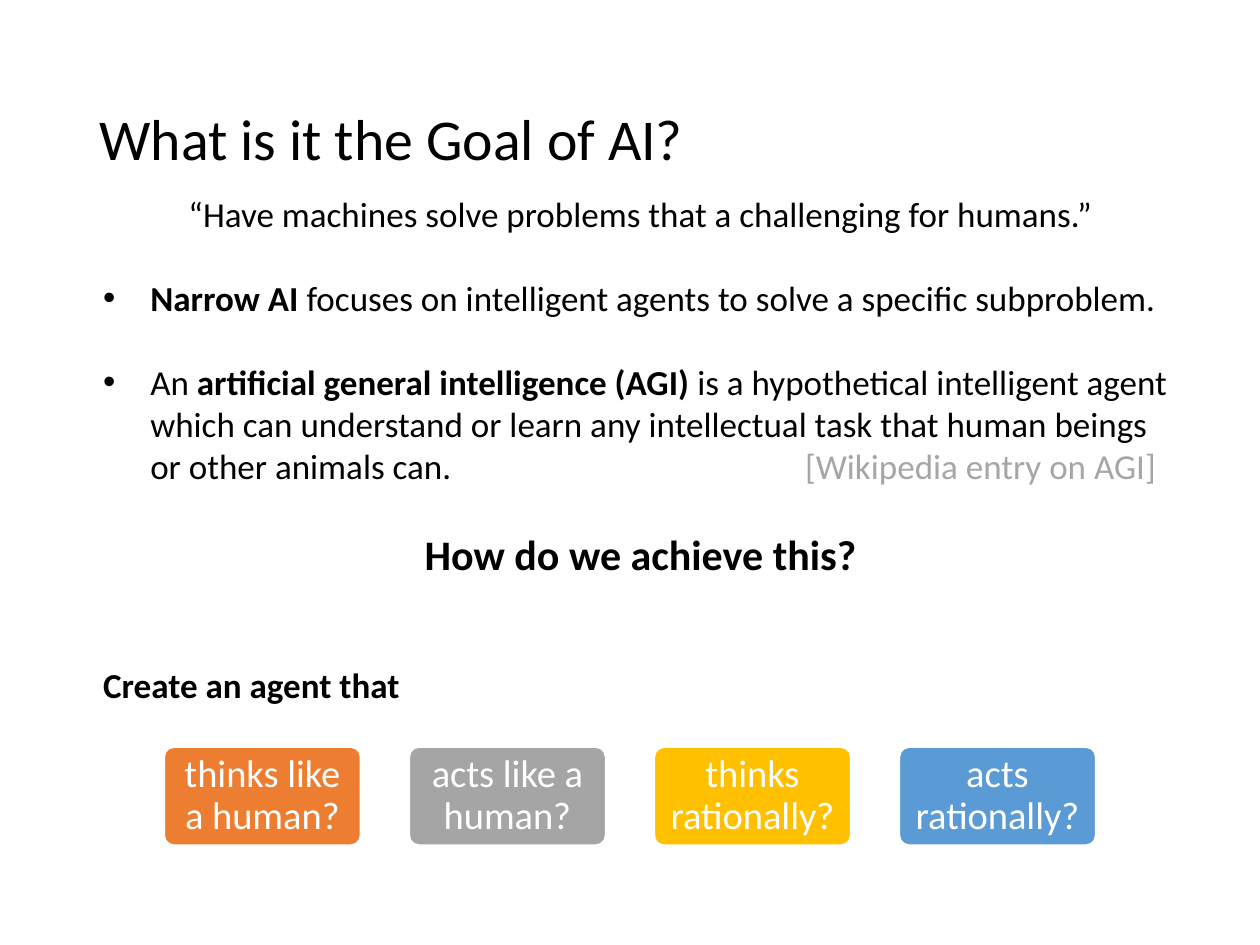
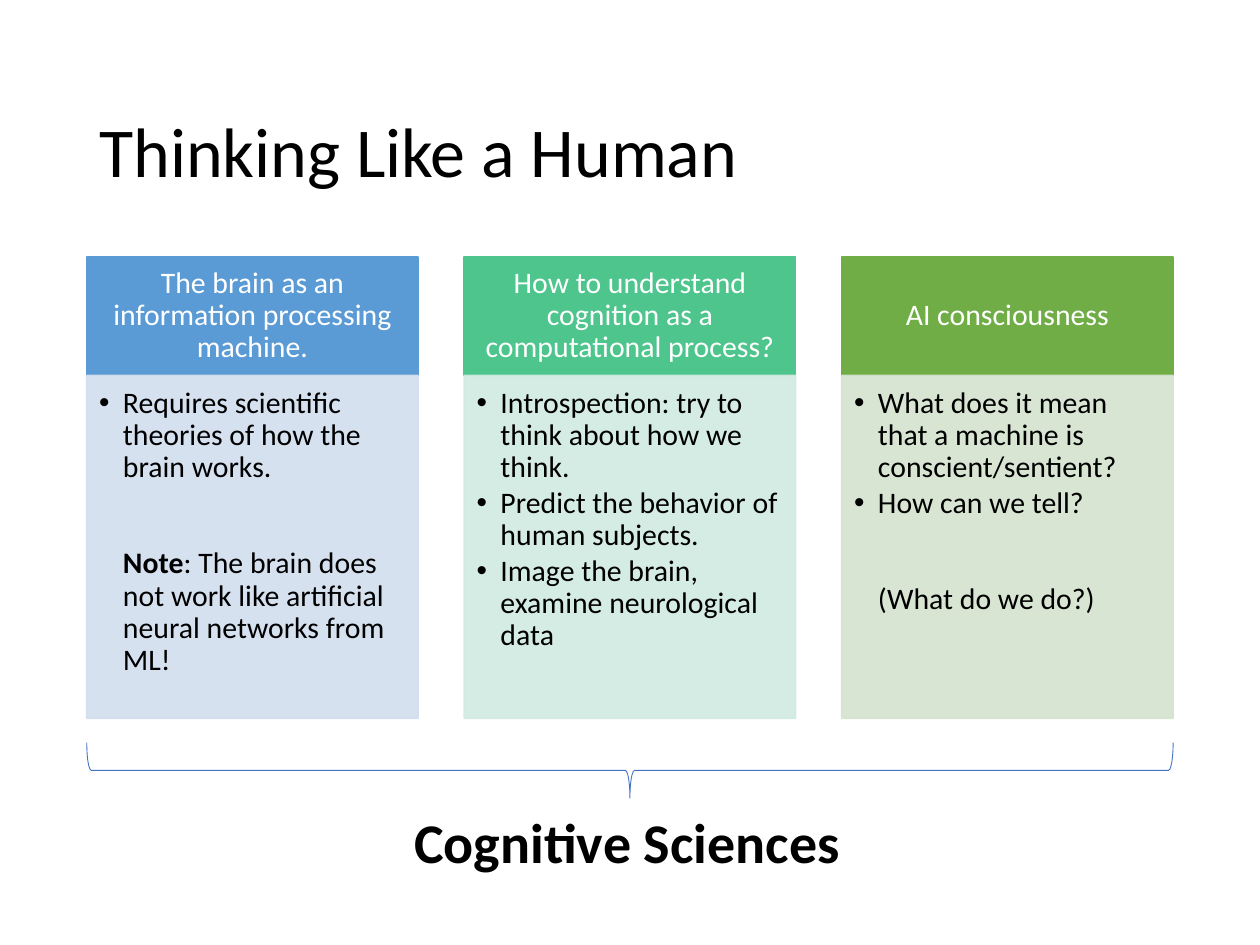
from lxml.etree import SubElement
from pptx import Presentation
from pptx.dml.color import RGBColor
from pptx.enum.shapes import MSO_SHAPE
from pptx.enum.text import MSO_ANCHOR, MSO_AUTO_SIZE, PP_ALIGN
from pptx.oxml.ns import qn
from pptx.util import Cm, Pt

COLORS = {
    "text": "000000", "white": "FFFFFF", "citation": "A6A6A6", "brace": "4472C4",
    "orange": "ED7D31", "gray": "A5A5A5", "gold": "FFC000", "blue": "5B9BD5",
    "mint": "4DC58D", "green": "70AD47",
    "pale blue": "D2DEEF", "pale mint": "D0EAE1", "pale green": "D5E3CF",
}
MARGIN = 1.75
CONTENT_WIDTH = 21.9
TITLE_BOTTOM = 4.7


class Deck:
    font = "Calibri"

    def __init__(self):
        self.presentation = Presentation()
        self.presentation.slide_width = Cm(25.4)
        self.presentation.slide_height = Cm(19.05)
        self.slide = None

    def rgb(self, color):
        return RGBColor.from_string(COLORS[color])

    def new_slide(self, heading, top, size):
        layout = self.presentation.slide_layouts[5]
        self.slide = self.presentation.slides.add_slide(layout)
        title = self.slide.shapes.title
        title.left, title.top = Cm(MARGIN), Cm(top)
        title.width, title.height = Cm(CONTENT_WIDTH), Cm(TITLE_BOTTOM - top)
        frame = title.text_frame
        frame.auto_size = MSO_AUTO_SIZE.NONE
        frame.vertical_anchor = MSO_ANCHOR.MIDDLE
        self.paragraph(frame, heading, size, spacing=0.9)

    def paragraph(self, frame, runs, size, color="text", bold=False, align=PP_ALIGN.LEFT,
                  before=0, after=0, spacing=1.0, indent=0, bullet=False, tab=None):
        """Add a paragraph; runs is a string or a list of (text, bold, color)."""
        first = frame.paragraphs[0]
        paragraph = first if not first.runs else frame.add_paragraph()
        properties = paragraph._p.get_or_add_pPr()
        properties.set("marL", str(Cm(indent)))
        properties.set("indent", str(Cm(-indent if bullet else 0)))
        if bullet:
            SubElement(properties, qn("a:buFont"), typeface="Arial")
            SubElement(properties, qn("a:buChar"), char="•")
        else:
            SubElement(properties, qn("a:buNone"))
        if tab:
            stops = SubElement(properties, qn("a:tabLst"))
            SubElement(stops, qn("a:tab"), pos=str(Cm(tab)), algn="l")
        paragraph.alignment = align
        paragraph.line_spacing = spacing
        paragraph.space_before, paragraph.space_after = Pt(before), Pt(after)
        font = paragraph.font
        font.name, font.size, font.bold = self.font, Pt(size), bold
        font.color.rgb = self.rgb(color)
        if isinstance(runs, str):
            runs = [(runs, bold, color)]
        for text, run_bold, run_color in runs:
            run = paragraph.add_run()
            run.text = text
            if run_bold != bold:
                run.font.bold = run_bold
            if run_color != color:
                run.font.color.rgb = self.rgb(run_color)

    def text_box(self, left, top, width, height, wrap=True):
        frame = self.slide.shapes.add_textbox(Cm(left), Cm(top), Cm(width), Cm(height)).text_frame
        frame.word_wrap = wrap
        return frame

    def shape(self, kind, left, top, width, height, fill, line, line_width=1.0):
        shape = self.slide.shapes.add_shape(kind, Cm(left), Cm(top), Cm(width), Cm(height))
        shape.shadow.inherit = False
        if fill:
            shape.fill.solid()
            shape.fill.fore_color.rgb = self.rgb(fill)
        else:
            shape.fill.background()
        shape.line.color.rgb = self.rgb(line)
        shape.line.width = Pt(line_width)
        return shape

    def panel(self, kind, left, top, width, height, fill, line, insets, anchor=MSO_ANCHOR.MIDDLE):
        """Draw a filled shape ready for text; insets are left, top, right, bottom."""
        panel = self.shape(kind, left, top, width, height, fill, line)
        frame = panel.text_frame
        frame.word_wrap = True
        frame.vertical_anchor = anchor
        (frame.margin_left, frame.margin_top,
         frame.margin_right, frame.margin_bottom) = map(Cm, insets)
        return panel

    def card(self, left, top, width, height, text, fill):
        card = self.panel(MSO_SHAPE.ROUNDED_RECTANGLE, left, top, width, height,
                          fill, "white", (0.13, 0.08, 0.13, 0.08))
        card.adjustments[0] = 0.1
        self.paragraph(card.text_frame, text, 22, "white", align=PP_ALIGN.CENTER, spacing=0.9)

    def column(self, left, width, heading, points, remark, color):
        """Draw a heading over a pale panel of bullets, with an optional remark below them."""
        top, head_height, body_height = 5.18, 2.39, 6.91
        head = self.panel(MSO_SHAPE.RECTANGLE, left, top, width, head_height,
                          color, color, (0.33, 0.2, 0.33, 0.2))
        self.paragraph(head.text_frame, heading, 17, "white", align=PP_ALIGN.CENTER, spacing=0.9)
        pale = f"pale {color}"
        body = self.panel(MSO_SHAPE.RECTANGLE, left, top + head_height, width, body_height,
                          pale, pale, (0.25, 0.25, 0.33, 0.38), MSO_ANCHOR.TOP)
        for tint in body._element.spPr.iter(qn("a:srgbClr")):
            SubElement(tint, qn("a:alpha"), val="90000")
        style = {"size": 17, "spacing": 0.9, "indent": 0.48, "after": 2}
        for point in points:
            self.paragraph(body.text_frame, point, bullet=True, **style)
        if remark:
            self.paragraph(body.text_frame, remark, before=34.5, **style)

    def brace(self, center_x, center_y, span, depth):
        """Draw a brace that opens upwards."""
        brace = self.shape(MSO_SHAPE.LEFT_BRACE, center_x - depth / 2, center_y - span / 2,
                           depth, span, None, "brace", 0.5)
        brace.rotation = 270


def goal_slide(deck):
    deck.new_slide("What is it the Goal of AI?", top=1.02, size=33)
    goals = deck.text_box(1.83, 3.76, 22.17, 11.53)
    deck.paragraph(goals, "“Have machines solve problems that a challenging for humans.”",
                   20, align=PP_ALIGN.CENTER)
    definitions = [
        [("Narrow AI ", True, "text"),
         ("focuses on intelligent agents to solve a specific subproblem.", False, "text")],
        [("An ", False, "text"),
         ("artificial general intelligence (AGI) ", True, "text"),
         ("is a hypothetical intelligent agent which can understand or learn any intellectual "
          "task that human beings or other animals can.\t", False, "text"),
         ("[Wikipedia entry on AGI]", False, "citation")],
    ]
    for definition in definitions:
        deck.paragraph(goals, definition, 20, before=24, indent=0.95, bullet=True, tab=14.15)
    deck.paragraph(goals, "How do we achieve this?", 24, bold=True,
                   align=PP_ALIGN.CENTER, before=24)
    deck.paragraph(goals, "Create an agent that", 20, bold=True, before=48)

    approaches = [
        ("thinks like a human?", "orange"),
        ("acts like a human?", "gray"),
        ("thinks rationally?", "gold"),
        ("acts rationally?", "blue"),
    ]
    for index, (approach, color) in enumerate(approaches):
        deck.card(3.31 + index * 4.94, 15.06, 3.96, 1.98, approach, color)


def human_thinking_slide(deck):
    deck.new_slide("Thinking Like a Human", top=1.55, size=40)
    topics = [
        ("The brain as an information processing machine.",
         ["Requires scientific theories of how the brain works."],
         [("Note", True, "text"),
          (": The brain does not work like artificial neural networks from ML!", False, "text")],
         "blue"),
        ("How to understand cognition as a computational process?",
         ["Introspection: try to think about how we think.",
          "Predict the behavior of human subjects.",
          "Image the brain, examine neurological data"],
         None, "mint"),
        ("AI consciousness",
         ["What does it mean that a machine is conscient/sentient?", "How can we tell?"],
         "(What do we do?)", "green"),
    ]
    width = 6.68
    pitch = (CONTENT_WIDTH - width) / (len(topics) - 1)
    for index, topic in enumerate(topics):
        deck.column(MARGIN + index * pitch, width, *topic)
    deck.brace(12.7, 15.53, CONTENT_WIDTH, 1.12)
    field = deck.text_box(8.1, 16.15, 9.19, 1.63, wrap=False)
    deck.paragraph(field, "Cognitive Sciences", 32, bold=True)


def main():
    deck = Deck()
    goal_slide(deck)
    human_thinking_slide(deck)
    deck.presentation.save("out.pptx")


if __name__ == "__main__":
    main()
